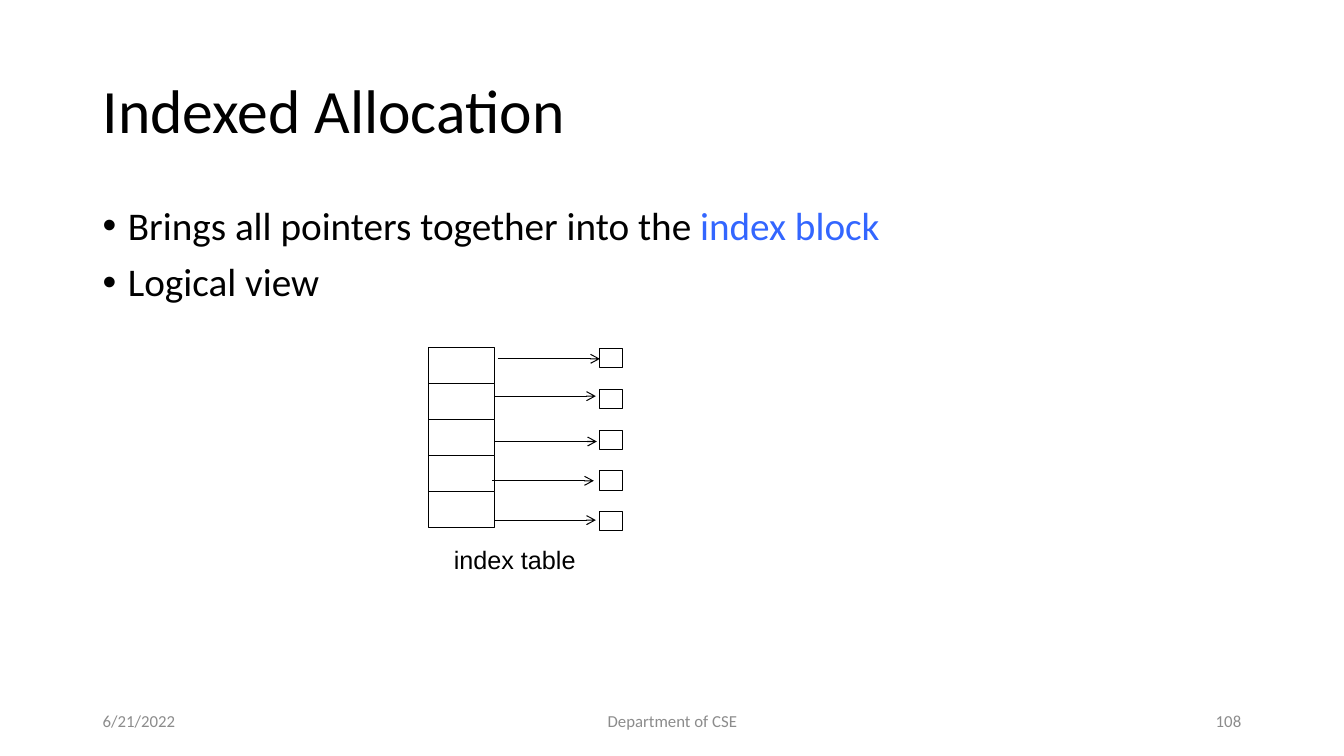
from lxml.etree import SubElement
from pptx import Presentation
from pptx.dml.color import RGBColor
from pptx.enum.shapes import MSO_CONNECTOR as CONNECTOR, MSO_SHAPE as SHAPE
from pptx.enum.text import MSO_ANCHOR as ANCHOR, PP_ALIGN as ALIGN
from pptx.oxml.ns import qn
from pptx.util import Inches, Pt

BLACK = RGBColor(0x00, 0x00, 0x00)
WHITE = RGBColor(0xFF, 0xFF, 0xFF)
GREY = RGBColor(0x8C, 0x8C, 0x8C)
BLUE = RGBColor(0x33, 0x66, 0xFF)

prs = Presentation()
prs.slide_width, prs.slide_height = Inches(13.33), Inches(7.5)
slide = prs.slides.add_slide(prs.slide_layouts[6])


def add_text(paragraphs, left, top, width, height, size=12, color=BLACK, font="Calibri",
             align=ALIGN.LEFT, anchor=ANCHOR.MIDDLE, wrap=True, line_spacing=None,
             space_before=0, bullet=None):
    """Add a text box; each paragraph is a list of (text, color) runs, None meaning the default."""
    frame = slide.shapes.add_textbox(Inches(left), Inches(top),
                                     Inches(width), Inches(height)).text_frame
    frame.word_wrap = wrap
    frame.vertical_anchor = anchor
    for i, runs in enumerate(paragraphs):
        paragraph = frame.add_paragraph() if i else frame.paragraphs[0]
        paragraph.alignment = align
        paragraph.line_spacing = line_spacing
        paragraph.space_before = Pt(space_before)
        if bullet:
            props = paragraph._p.get_or_add_pPr()
            props.set("marL", str(Inches(0.25)))
            props.set("indent", str(-Inches(0.25)))
            SubElement(props, qn("a:buFont"), typeface="Arial")
            SubElement(props, qn("a:buChar"), char=bullet)
        for text, run_color in runs:
            run = paragraph.add_run()
            run.text = text
            run.font.name = font
            run.font.size = Pt(size)
            run.font.color.rgb = run_color or color


def add_box(left, top, width, height):
    box = slide.shapes.add_shape(SHAPE.RECTANGLE, Inches(left), Inches(top),
                                 Inches(width), Inches(height))
    box.shadow.inherit = False
    box.fill.solid()
    box.fill.fore_color.rgb = WHITE
    box.line.color.rgb = BLACK
    box.line.width = Pt(0.75)


add_text([[("Indexed Allocation", None)]], 0.92, 0.4, 11.5, 1.45, size=44, line_spacing=0.9)
add_text([[("Brings all pointers together into the ", None), ("index block", BLUE)],
          [("Logical view", None)]],
         0.92, 2, 11.5, 4.76, size=28, anchor=ANCHOR.TOP, line_spacing=0.9,
         space_before=10, bullet="•")

# Footer: date, department, slide number
for label, left, width, align in [("6/21/2022", 0.92, 3, ALIGN.LEFT),
                                  ("Department of CSE", 4.42, 4.5, ALIGN.CENTER),
                                  ("108", 9.41, 3, ALIGN.RIGHT)]:
    add_text([[(label, None)]], left, 6.95, width, 0.4, color=GREY, align=align)

# Index table entries, each pointing to a data block
POINTER_LENGTH = 1.01
pointer_starts = [(4.94, 3.56), (4.9, 3.93), (4.91, 4.38), (4.88, 4.77), (4.9, 5.16)]
for row in range(len(pointer_starts)):
    add_box(4.25, 3.45 + row * 0.356, 0.66, 0.356)
    add_box(5.95, 3.46 + row * 0.404, 0.22, 0.19)

for x, y in pointer_starts:
    pointer = slide.shapes.add_connector(CONNECTOR.STRAIGHT, Inches(x), Inches(y),
                                         Inches(x + POINTER_LENGTH), Inches(y))
    pointer.line.color.rgb = BLACK
    pointer.line.width = Pt(0.75)
    SubElement(pointer.line._get_or_add_ln(), qn("a:tailEnd"), type="arrow")
    SubElement(pointer._element.spPr, qn("a:effectLst"))

add_text([[("index table", None)]], 4.4, 5.35, 1.41, 0.4, size=18, font="Arial",
         align=ALIGN.CENTER, wrap=False)

prs.save("out.pptx")
